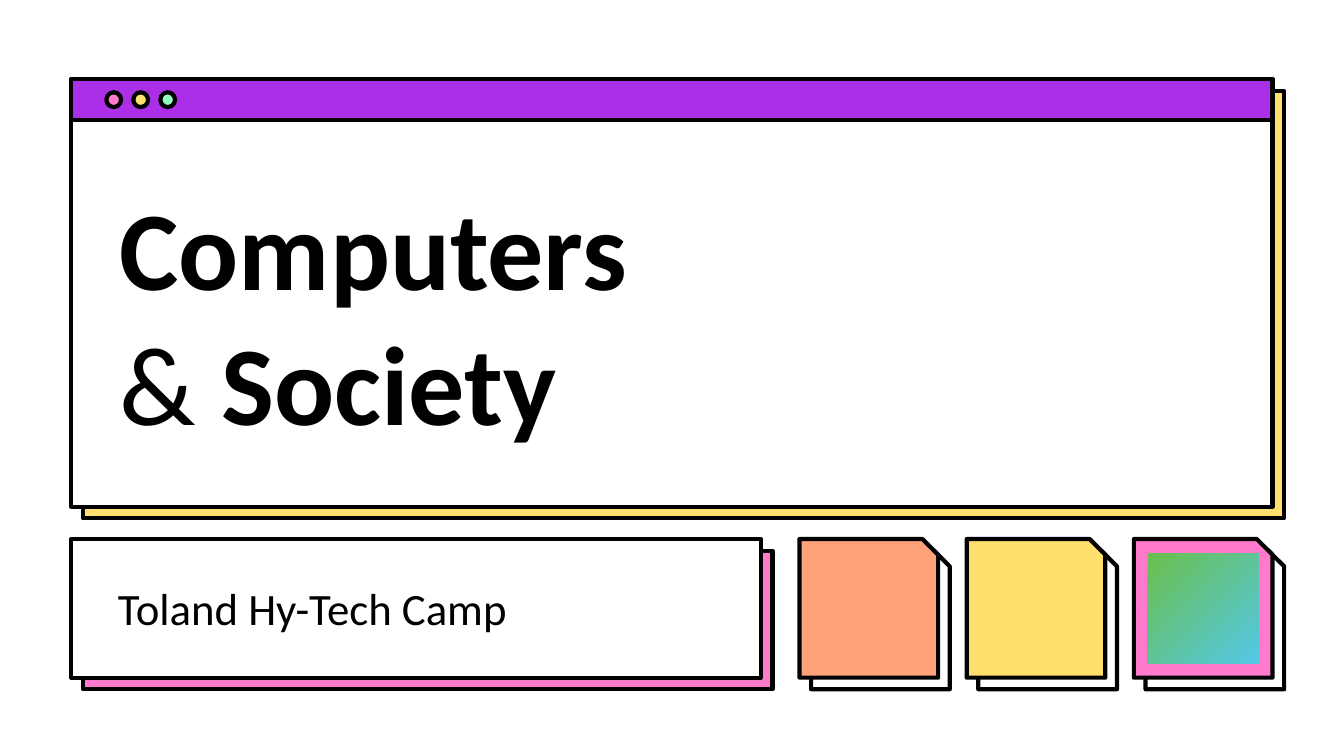
from dataclasses import dataclass

from pptx import Presentation
from pptx.dml.color import RGBColor
from pptx.enum.shapes import MSO_SHAPE
from pptx.enum.text import MSO_ANCHOR, MSO_AUTO_SIZE, PP_ALIGN
from pptx.util import Cm, Pt

RECT = MSO_SHAPE.RECTANGLE
OVAL = MSO_SHAPE.OVAL
SNIP = MSO_SHAPE.SNIP_1_RECTANGLE
LEFT_ALIGN = PP_ALIGN.LEFT
TOP_ANCHOR, BOTTOM_ANCHOR = MSO_ANCHOR.TOP, MSO_ANCHOR.BOTTOM
NO_AUTOFIT = MSO_AUTO_SIZE.NONE


@dataclass(frozen=True)
class Theme:
    font: str = "Calibri"
    title_size: int = 60
    subtitle_size: int = 24
    line_width: float = 2.25
    black: str = "000000"
    white: str = "FFFFFF"
    purple: str = "AA2FE6"
    pink: str = "FF7ACD"
    yellow: str = "FFDF6D"
    mint: str = "8FFFC1"
    orange: str = "FFA27A"
    badge: tuple = ("6ABF4B", "54C8E8")


T = Theme()

TITLE_LINES = [[("Computers", True)], [("& ", False), ("Society", True)]]
SUBTITLE_LINES = [[("Toland Hy-Tech Camp", False)]]
DOTS = [T.pink, T.yellow, T.mint]
TILES = [T.orange, T.yellow, T.pink]

LEFT, WIDTH = 1.35, 22.7
WINDOW_TOP, WINDOW_H, BAR_H = 1.5, 8.08, 0.77
ROW_TOP, TILE, TILE_STEP = 10.19, 2.62, 3.16
SUBTITLE_W = 13.03
OFFSET = 0.22
DOT, DOT_LEFT, DOT_STEP = 0.28, 2.01, 0.51
SNIP_RATIO = 0.113
BADGE = 2.09
TITLE_BOX = (2.01, 3.15, 21.41, 5.56)
SUBTITLE_BOX = (1.98, 10.72, 11.53, 1.68)


def add_block(s, kind, x, y, w, h, color):
    sp = s.shapes.add_shape(kind, Cm(x), Cm(y), Cm(w), Cm(h))
    sp.shadow.inherit = False
    sp.fill.solid()
    sp.fill.fore_color.rgb = RGBColor.from_string(color)
    sp.line.color.rgb = RGBColor.from_string(T.black)
    sp.line.width = Pt(T.line_width)
    if kind == SNIP:
        sp.adjustments[0] = SNIP_RATIO
    return sp


def add_raised(s, kind, x, y, w, h, color, back):
    add_block(s, kind, x + OFFSET, y + OFFSET, w, h, back)
    add_block(s, kind, x, y, w, h, color)


def add_badge(s, x, y):
    sp = s.shapes.add_shape(RECT, Cm(x), Cm(y), Cm(BADGE), Cm(BADGE))
    sp.shadow.inherit = False
    sp.line.fill.background()
    sp.fill.gradient()
    sp.fill.gradient_angle = 315
    for stop, color in zip(sp.fill.gradient_stops, T.badge):
        stop.color.rgb = RGBColor.from_string(color)


def fill_placeholder(s, sp, box, lines, size, anchor):
    sp.left, sp.top, sp.width, sp.height = map(Cm, box)
    s.shapes._spTree.append(sp._element)
    tf = sp.text_frame
    tf.word_wrap = True
    tf.auto_size = NO_AUTOFIT
    tf.vertical_anchor = anchor
    tf.margin_left = tf.margin_right = tf.margin_top = tf.margin_bottom = Cm(0.25)
    p = tf.paragraphs[0]
    p.alignment = LEFT_ALIGN
    p.space_before = Pt(0)
    p.font.size = Pt(size)
    for i, line in enumerate(lines):
        if i:
            p.add_line_break()
        for text, bold in line:
            r = p.add_run()
            r.text = text
            r.font.name = T.font
            r.font.size = Pt(size)
            r.font.bold = bold
            r.font.color.rgb = RGBColor.from_string(T.black)


def main():
    prs = Presentation()
    prs.slide_width, prs.slide_height = Cm(25.4), Cm(14.29)
    s = prs.slides.add_slide(prs.slide_layouts[0])

    add_raised(s, RECT, LEFT, WINDOW_TOP, WIDTH, WINDOW_H, T.white, T.yellow)
    add_raised(s, RECT, LEFT, ROW_TOP, SUBTITLE_W, TILE, T.white, T.pink)
    add_block(s, RECT, LEFT, WINDOW_TOP, WIDTH, BAR_H, T.purple)

    dot_top = WINDOW_TOP + (BAR_H - DOT) / 2
    for i, color in enumerate(DOTS):
        add_block(s, OVAL, DOT_LEFT + i * DOT_STEP, dot_top, DOT, DOT, color)

    last_x = LEFT + WIDTH - TILE
    for i, color in enumerate(TILES):
        x = last_x - (len(TILES) - 1 - i) * TILE_STEP
        add_raised(s, SNIP, x, ROW_TOP, TILE, TILE, color, T.white)
    inset = (TILE - BADGE) / 2
    add_badge(s, last_x + inset, ROW_TOP + inset)

    fill_placeholder(s, s.shapes.title, TITLE_BOX, TITLE_LINES, T.title_size, BOTTOM_ANCHOR)
    fill_placeholder(s, s.placeholders[1], SUBTITLE_BOX, SUBTITLE_LINES, T.subtitle_size, TOP_ANCHOR)
    prs.save("out.pptx")


if __name__ == "__main__":
    main()
